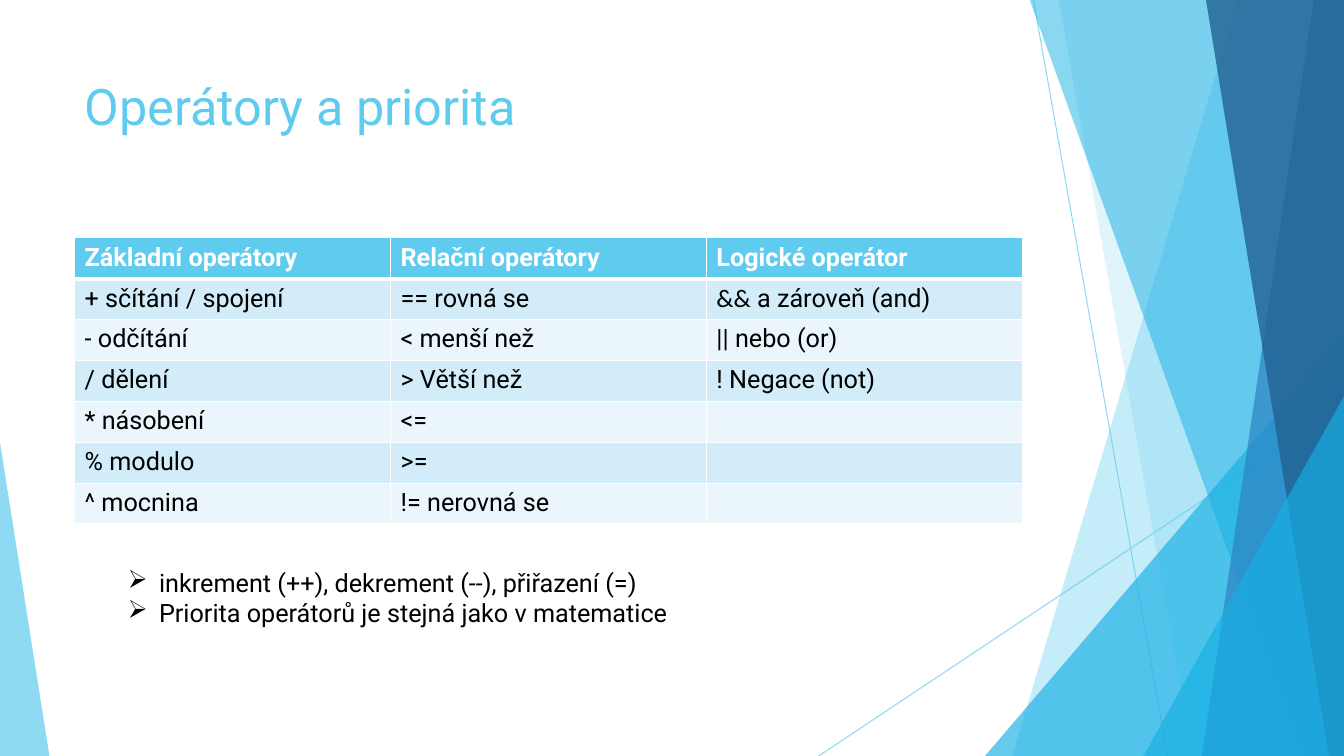
from lxml import etree
from pptx import Presentation
from pptx.dml.color import RGBColor
from pptx.enum.shapes import MSO_CONNECTOR, MSO_SHAPE
from pptx.enum.text import MSO_ANCHOR, MSO_AUTO_SIZE, PP_ALIGN
from pptx.oxml import parse_xml
from pptx.oxml.ns import nsdecls, qn
from pptx.util import Inches, Pt

COLOURS = {
    "sky": "5FCBEF", "cyan": "17B0E4", "blue": "2E83C3", "navy": "226292",
    "band": "D2ECF9", "pale": "EAF6FC", "white": "FFFFFF", "black": "000000",
}
RIGHT, BOTTOM, TOP = 13.33, 7.5, -0.01


def set_alpha(shape, percent):
    for colour in shape._element.spPr.iter(qn("a:srgbClr")):
        etree.SubElement(colour, qn("a:alpha")).set("val", str(percent * 1000))


def add_run(paragraph, text, colour, size=18, bold=False, name="Roboto"):
    run = paragraph.add_run()
    run.text = text
    for attribute, value in {"name": name, "size": Pt(size), "bold": bold}.items():
        setattr(run.font, attribute, value)
    run.font.color.rgb = RGBColor.from_string(COLOURS[colour])


presentation = Presentation()
presentation.slide_width = Inches(RIGHT)
presentation.slide_height = Inches(BOTTOM)
slide = presentation.slides.add_slide(presentation.slide_layouts[5])
shapes = slide.shapes

for ends in ((10.25, 0, 11.58, BOTTOM), (RIGHT, 4.03, 8.12, BOTTOM)):
    line = shapes.add_connector(MSO_CONNECTOR.STRAIGHT, *map(Inches, ends))
    line.line.width = Pt(0.75)
    line.line.color.rgb = RGBColor.from_string(COLOURS["sky"])
    etree.SubElement(line._element.spPr, qn("a:effectLst"))
    set_alpha(line, 70)

facets = [
    ("panel", (12.28, 10.04), "sky", 36),
    ("panel", (10.5, 11.83), "sky", 20),
    ("triangle", (9.77, 3.33, 3.56, 1), "cyan", 66),
    ("panel", (10.21, 12.91), "cyan", 50),
    ("panel", (13.03, 11.92), "blue", 70),
    ("panel", (11.96, 13.18), "navy", 80),
    ("triangle", (11.34, 3.93, 1.99, 1), "cyan", 66),
    ("triangle", (0, 4.39, 0.49, 0), "sky", 70),
]
for kind, place, colour, alpha in facets:
    if kind == "panel":
        top_left, bottom_left = place
        builder = shapes.build_freeform(Inches(top_left), Inches(TOP))
        corners = [(RIGHT, TOP), (RIGHT, BOTTOM), (bottom_left, BOTTOM)]
        builder.add_line_segments([(Inches(x), Inches(y)) for x, y in corners])
        facet = builder.convert_to_shape()
    else:
        left, top, width, apex = place
        box = map(Inches, (left, top, width, BOTTOM - top))
        facet = shapes.add_shape(MSO_SHAPE.ISOSCELES_TRIANGLE, *box)
        facet.adjustments[0] = apex
    facet.shadow.inherit = False
    facet.fill.solid()
    facet.fill.fore_color.rgb = RGBColor.from_string(COLOURS[colour])
    facet.line.fill.background()
    set_alpha(facet, alpha)

title = shapes.title
title_format = {"left": 0.74, "top": 0.67, "width": 9.4, "height": 0.74}
for attribute, value in title_format.items():
    setattr(title, attribute, Inches(value))
title.text_frame.vertical_anchor = MSO_ANCHOR.MIDDLE
title_paragraph = title.text_frame.paragraphs[0]
title_paragraph.alignment = PP_ALIGN.LEFT
add_run(title_paragraph, "Operátory a priorita", "sky", size=36)

rows = [
    ("Základní operátory", "Relační operátory", "Logické operátor"),
    ("+ sčítání / spojení", "== rovná se", "&& a zároveň (and)"),
    ("- odčítání", "< menší než", "|| nebo (or)"),
    ("/ dělení", "> Větší než", "! Negace (not)"),
    ("* násobení", "<=", ""),
    ("% modulo", ">=", ""),
    ("^ mocnina", "!= nerovná se", ""),
]
table_box = map(Inches, (0.74, 2.36, 9.4, 2.84))
table = shapes.add_table(len(rows), 3, *table_box).table
for row_index, row in enumerate(rows):
    header = row_index == 0
    fill = "sky" if header else "band" if row_index % 2 else "pale"
    for column_index, text in enumerate(row):
        cell = table.cell(row_index, column_index)
        properties = cell._tc.get_or_add_tcPr()
        for side in "LRTB":
            thick = (row_index, side) in ((0, "B"), (1, "T"))
            properties.append(parse_xml(
                f'<a:ln{side} {nsdecls("a")} w="{Pt(3 if thick else 1)}"><a:solidFill>'
                f'<a:srgbClr val="{COLOURS["white"]}"/></a:solidFill></a:ln{side}>'))
        cell.fill.solid()
        cell.fill.fore_color.rgb = RGBColor.from_string(COLOURS[fill])
        symbol = "&&" if text.startswith("&&") else ""
        for part, font in ((symbol, "Calibri"), (text[len(symbol):], "Roboto")):
            if part:
                add_run(cell.text_frame.paragraphs[0], part,
                        "white" if header else "black", bold=header, name=font)

notes = [
    "inkrement (++), dekrement (--), přiřazení (=)",
    "Priorita operátorů je stejná jako v matematice",
]
frame = shapes.add_textbox(*map(Inches, (1.17, 5.58, 8.46, 0.71))).text_frame
frame.word_wrap = True
frame.auto_size = MSO_AUTO_SIZE.SHAPE_TO_FIT_TEXT
for index, note in enumerate(notes):
    paragraph = frame.add_paragraph() if index else frame.paragraphs[0]
    properties = paragraph._p.get_or_add_pPr()
    properties.set("marL", str(Inches(0.31)))
    properties.set("indent", str(Inches(-0.31)))
    etree.SubElement(properties, qn("a:buChar")).set("char", "➢")
    add_run(paragraph, note, "black")

presentation.save("out.pptx")
